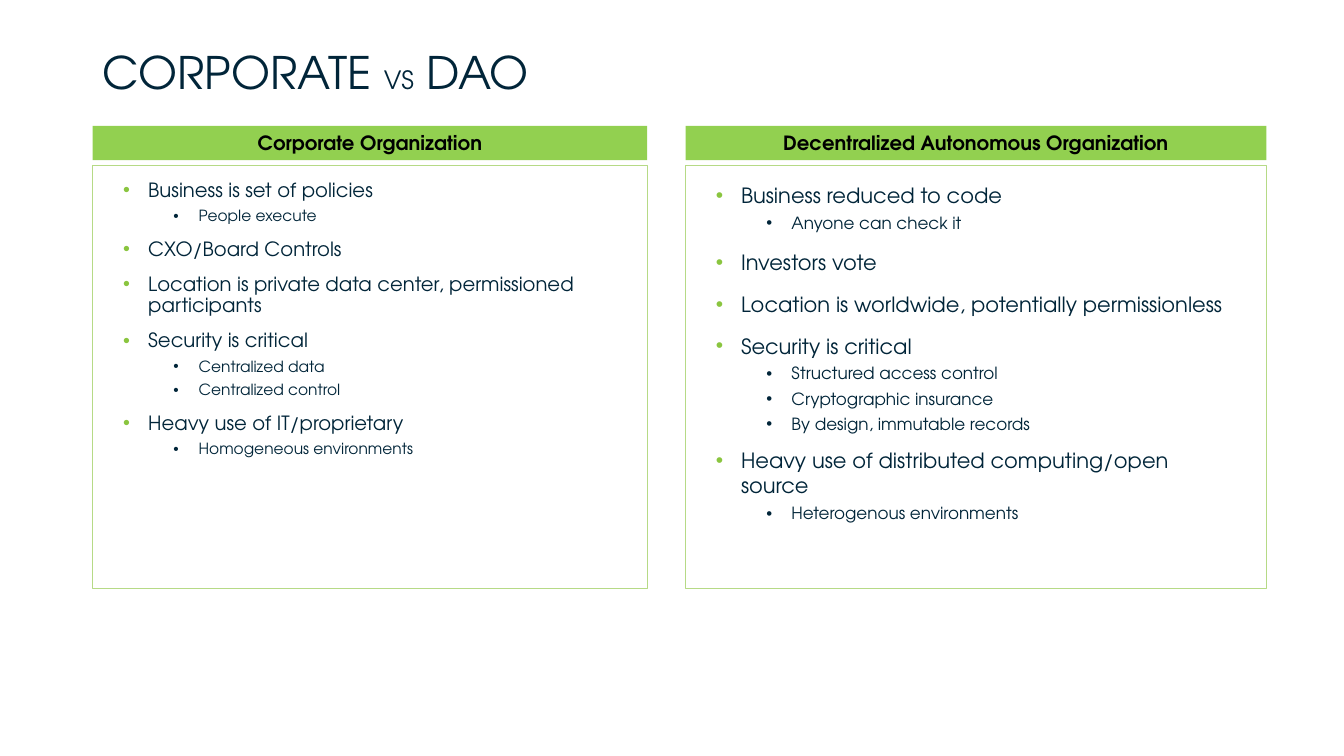
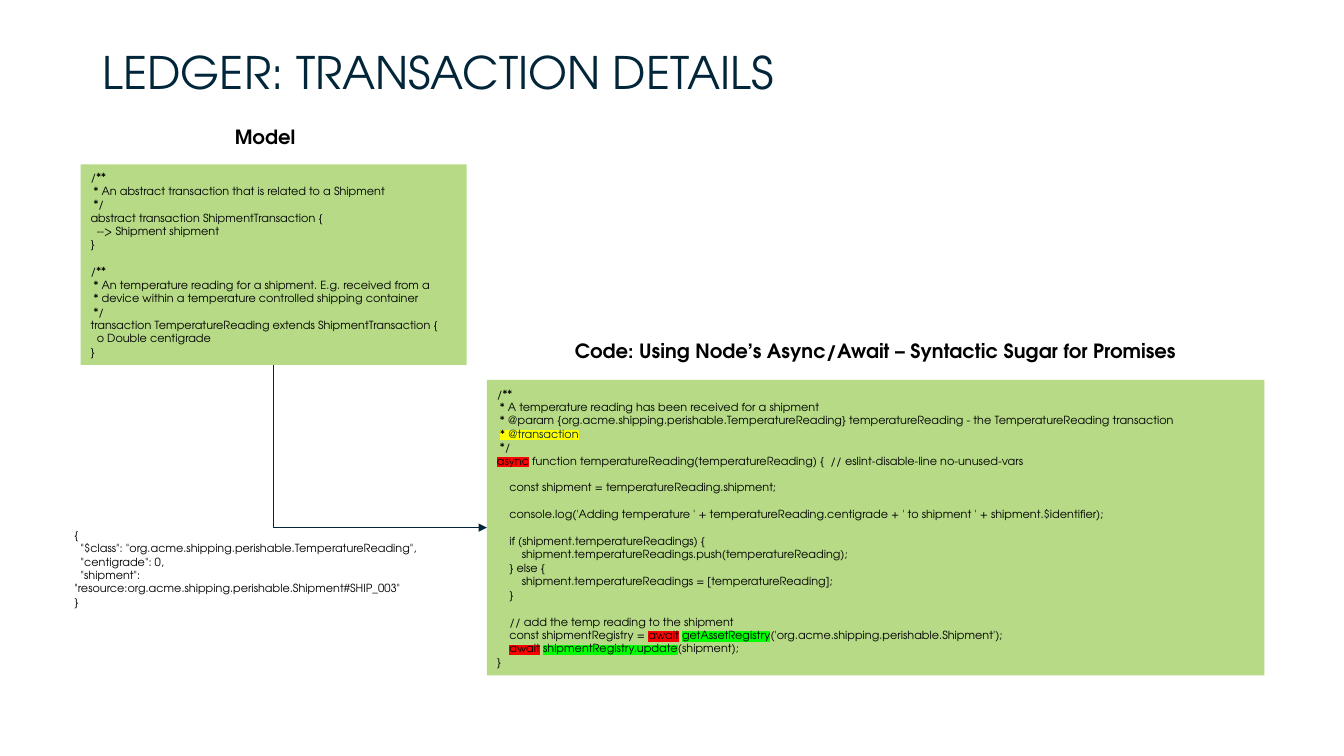
from lxml import etree
from pptx import Presentation
from pptx.dml.color import RGBColor
from pptx.enum.shapes import MSO_CONNECTOR, MSO_SHAPE
from pptx.enum.text import MSO_ANCHOR, MSO_AUTO_SIZE, PP_ALIGN
from pptx.oxml.ns import qn
from pptx.util import Inches, Pt

RECTANGLE, ELBOW = MSO_SHAPE.RECTANGLE, MSO_CONNECTOR.ELBOW
TOP, MIDDLE, NO_FIT = MSO_ANCHOR.TOP, MSO_ANCHOR.MIDDLE, MSO_AUTO_SIZE.NONE
LEFT, CENTER = PP_ALIGN.LEFT, PP_ALIGN.CENTER
TWO_CONTENT, TITLE_ONLY = 3, 5
BOTTOM_SIDE, LEFT_SIDE = 0 + 2, 1

FONT = "TeX Gyre Adventor"
COLORS = {
    "navy": "012539", "black": "000000", "bullet": "8AC53F",
    "header": "92D050", "panel": "B6DA86",
    "yellow": "FFFF00", "red": "FF0000", "lime": "00FF00",
}
MARKED_KEYWORD = {"highlight": "red"}
MARKED_CALL = {"highlight": "lime"}

CORPORATE = [
    ("Business is set of policies", ["People execute"]),
    ("CXO/Board Controls", []),
    ("Location is private data center, permissioned participants", []),
    ("Security is critical", ["Centralized data", "Centralized control"]),
    ("Heavy use of IT/proprietary", ["Homogeneous environments"]),
]
DAO = [
    ("Business reduced to code", ["Anyone can check it"]),
    ("Investors vote", []),
    ("Location is worldwide, potentially permissionless", []),
    ("Security is critical", ["Structured access control", "Cryptographic insurance",
                              "By design, immutable records"]),
    ("Heavy use of distributed computing/open source", ["Heterogenous environments"]),
]
MODEL_CODE = """/**
 * An abstract transaction that is related to a Shipment
 */
abstract transaction ShipmentTransaction {
  --> Shipment shipment
}

/**
 * An temperature reading for a shipment. E.g. received from a
 * device within a temperature controlled shipping container
 */
transaction TemperatureReading extends ShipmentTransaction {
  o Double centigrade
}""".split("\n")
PAYLOAD = """{
  "$class": "org.acme.shipping.perishable.TemperatureReading",
  "centigrade": 0,
  "shipment": "resource:org.acme.shipping.perishable.Shipment#SHIP_003"
}""".split("\n")
HANDLER_CODE = [
    "/**",
    " * A temperature reading has been received for a shipment",
    " * @param {org.acme.shipping.perishable.TemperatureReading} temperatureReading"
    " - the TemperatureReading transaction",
    [(" ", {}), ("* ", {"highlight": "yellow"}),
     ("@transaction", {"highlight": "yellow", "color": "navy"})],
    " */",
    [("async", MARKED_KEYWORD),
     (" function temperatureReading(temperatureReading) {  // eslint-disable-line no-unused-vars", {})],
    "",
    "    const shipment = temperatureReading.shipment;",
    "",
    "    console.log('Adding temperature ' + temperatureReading.centigrade"
    " + ' to shipment ' + shipment.$identifier);",
    "",
    "    if (shipment.temperatureReadings) {",
    "        shipment.temperatureReadings.push(temperatureReading);",
    "    } else {",
    "        shipment.temperatureReadings = [temperatureReading];",
    "    }",
    "",
    "    // add the temp reading to the shipment",
    [("    const shipmentRegistry = ", {}), ("await", MARKED_KEYWORD), (" ", {}),
     ("getAssetRegistry", MARKED_CALL), ("('org.acme.shipping.perishable.Shipment');", {})],
    [("    ", {}), ("await", MARKED_KEYWORD), (" ", {}),
     ("shipmentRegistry.update", MARKED_CALL), ("(shipment);", {})],
    "}",
]


def rgb(name):
    return RGBColor.from_string(COLORS[name])


def add_child(parent, tag, **attributes):
    return etree.SubElement(parent, qn(tag), attributes)


def style_run(run, size, color="black", bold=False, highlight=None):
    run.font.size, run.font.bold, run.font.name = Pt(size), bold, FONT
    run.font.color.rgb = rgb(color)
    if highlight:
        properties = run._r.get_or_add_rPr()
        mark = etree.Element(qn("a:highlight"))
        add_child(mark, "a:srgbClr", val=COLORS[highlight])
        properties.find(qn("a:solidFill")).addnext(mark)


def write(frame, text, new=True, align=LEFT, spacing=None, before=None,
          bullet_indent=None, bullet_color="navy", **run_format):
    """Write one paragraph; text is a string or a list of (string, run format)."""
    paragraph = frame.add_paragraph() if new else frame.paragraphs[0]
    if bullet_indent is not None:
        properties = paragraph._p.get_or_add_pPr()
        properties.set("marL", str(Inches(bullet_indent)))
        properties.set("indent", str(Inches(-0.25)))
        add_child(add_child(properties, "a:buClr"), "a:srgbClr", val=COLORS[bullet_color])
        add_child(properties, "a:buFont", typeface="Arial")
        add_child(properties, "a:buChar", char="•")
    paragraph.alignment = align
    if spacing is not None:
        paragraph.line_spacing = spacing
    if before is not None:
        paragraph.space_before = Pt(before)
    if not text:
        end = add_child(paragraph._p, "a:endParaRPr", sz=str(run_format["size"] * 100))
        add_child(end, "a:latin", typeface=FONT)
        return
    for part, part_format in [(text, {})] if isinstance(text, str) else text:
        run = paragraph.add_run()
        run.text = part
        style_run(run, **{**run_format, **part_format})


def write_code(frame, lines):
    for number, line in enumerate(lines):
        write(frame, line, new=number > 0, size=8)


def place(shape, box):
    shape.left, shape.top, shape.width, shape.height = map(Inches, box)


def add_title(slide, text):
    title = slide.shapes.title
    place(title, (0.92, 0.45, 11.5, 0.67))
    frame = title.text_frame
    frame.auto_size, frame.vertical_anchor = NO_FIT, TOP
    write(frame, text, new=False, spacing=0.9, size=32, color="navy")


def add_band(slide, box, fill):
    band = slide.shapes.add_shape(RECTANGLE, *map(Inches, box))
    band.shadow.inherit = False
    band.fill.solid()
    band.fill.fore_color.rgb = rgb(fill)
    band.line.fill.background()
    band.text_frame.word_wrap = True
    band.text_frame.vertical_anchor = MIDDLE
    return band


def add_text_box(slide, box):
    frame = slide.shapes.add_textbox(*map(Inches, box)).text_frame
    frame.word_wrap = True
    return frame


def add_heading(slide, box, text):
    write(add_text_box(slide, box), text, new=False, align=CENTER, size=14, bold=True)


def add_code_panel(slide, box, lines):
    panel = add_band(slide, box, "panel")
    write_code(panel.text_frame, lines)
    return panel


def add_comparison_column(slide, body, box, heading, topics, size, spacings):
    """Header band over an outlined list; spacings holds one line spacing per topic."""
    left, top, width, height = box
    header_height, gap = 0.34, 0.05
    header = add_band(slide, (left, top, width, header_height), "header")
    write(header.text_frame, heading, new=False, align=CENTER, size=14, bold=True)

    body_offset = header_height + gap
    place(body, (left, top + body_offset, width, height - body_offset))
    body.line.color.rgb = rgb("panel")
    body.line.width = Pt(0.75)
    frame = body.text_frame
    frame.auto_size, frame.vertical_anchor, frame.word_wrap = NO_FIT, TOP, True
    frame.margin_left = frame.margin_right = Inches(0.3)
    frame.margin_top, frame.margin_bottom = Inches(0.15), Inches(0.1)
    for number, ((topic, details), spacing) in enumerate(zip(topics, spacings)):
        write(frame, topic, new=number > 0, spacing=spacing, before=10 if number else 0,
              bullet_indent=0.25, bullet_color="bullet", size=size, color="navy")
        for detail in details:
            write(frame, detail, spacing=0.9, before=5, bullet_indent=0.75,
                  size=size - 3, color="navy")


def add_corner_arrow(slide, source, target):
    """Arrow that runs down from the source, then right into the target."""
    start_x, start_y = source.left + source.width // 2, source.top + source.height
    end_x, end_y = target.left, target.top + target.height // 2
    across, down = end_x - start_x, end_y - start_y
    arrow = slide.shapes.add_connector(ELBOW, start_x, start_y, end_x, end_y)
    arrow.begin_connect(source, BOTTOM_SIDE)
    arrow.end_connect(target, LEFT_SIDE)
    arrow.line.color.rgb = rgb("navy")
    arrow.line.width = Pt(0.5)

    # The one-corner preset goes across first, so it is turned and mirrored.
    arrow.left = start_x + (across - down) // 2
    arrow.top = start_y + (down - across) // 2
    arrow.width, arrow.height = down, across
    properties = arrow._element.spPr
    frame = properties.find(qn("a:xfrm"))
    frame.set("rot", str(270 * 60000))
    frame.set("flipH", "1")
    properties.find(qn("a:prstGeom")).set("prst", "bentConnector2")
    add_child(properties.find(qn("a:ln")), "a:tailEnd", type="triangle")
    add_child(properties, "a:effectLst")


def build_comparison(deck):
    slide = deck.slides.add_slide(deck.slide_layouts[TWO_CONTENT])
    add_title(slide, [("CORPORATE ", {}), ("VS", {"size": 18}), (" DAO", {})])
    corporate_body, dao_body = slide.placeholders[1], slide.placeholders[2]
    add_comparison_column(slide, corporate_body, (0.92, 1.25, 5.5, 4.59),
                          "Corporate Organization", CORPORATE, 14, [0.9] * 5)
    add_comparison_column(slide, dao_body, (6.8, 1.25, 5.76, 4.59),
                          "Decentralized Autonomous Organization", DAO, 15,
                          [1.1] * 4 + [1.0])


def build_transaction(deck):
    slide = deck.slides.add_slide(deck.slide_layouts[TITLE_ONLY])
    add_title(slide, "LEDGER: TRANSACTION DETAILS")
    add_heading(slide, (2.15, 1.19, 0.96, 0.34), "Model")
    model = add_code_panel(slide, (0.8, 1.63, 3.83, 1.99), MODEL_CODE)
    add_heading(slide, (5.45, 3.31, 6.47, 0.34),
                "Code: Using Node’s Async/Await – Syntactic Sugar for Promises")
    handler = add_code_panel(slide, (4.83, 3.77, 7.71, 2.93), HANDLER_CODE)
    add_corner_arrow(slide, model, handler)
    write_code(add_text_box(slide, (0.64, 5.19, 3.65, 0.77)), PAYLOAD)


def main():
    deck = Presentation()
    deck.slide_width, deck.slide_height = Inches(13.33), Inches(7.5)
    build_comparison(deck)
    build_transaction(deck)
    deck.save("out.pptx")


if __name__ == "__main__":
    main()
